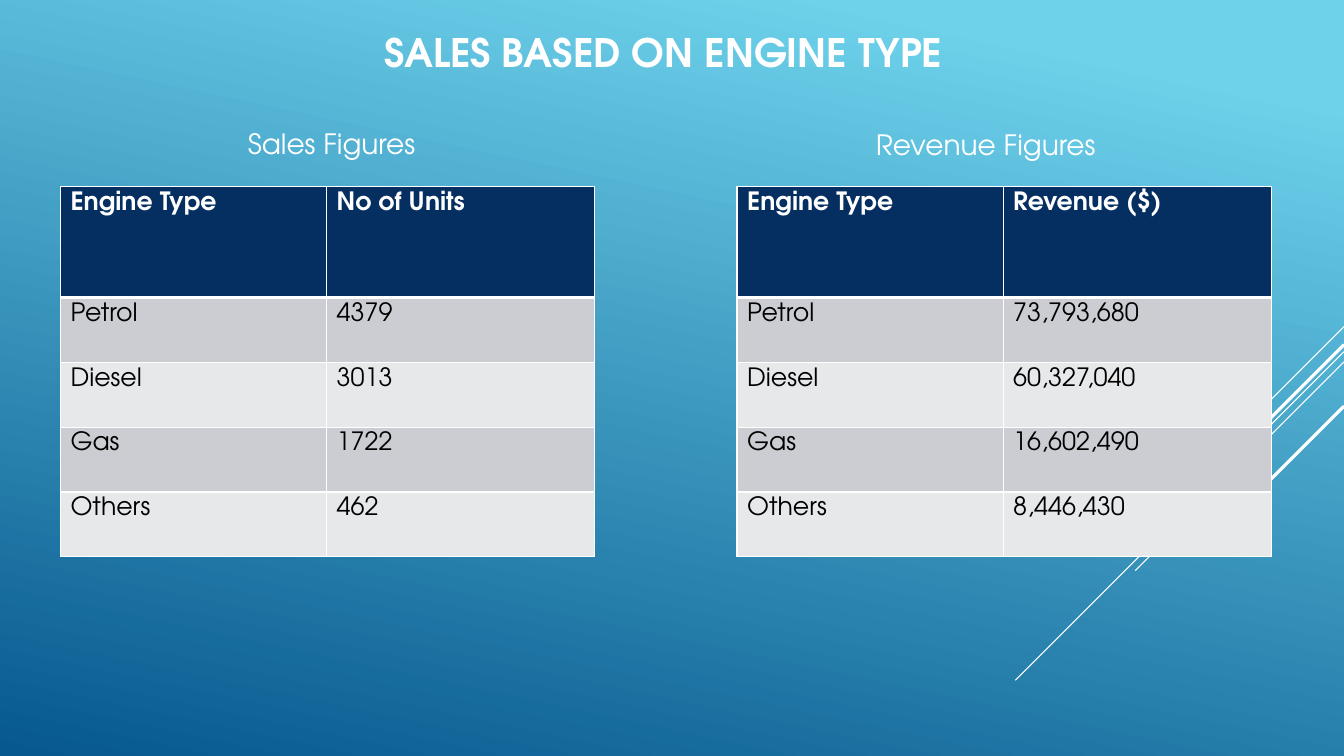
"""Build a slide with two tables of sales and revenue by engine type."""
from dataclasses import dataclass

from lxml import etree
from pptx import Presentation
from pptx.dml.color import RGBColor
from pptx.enum.shapes import MSO_CONNECTOR
from pptx.enum.text import MSO_ANCHOR, PP_ALIGN
from pptx.oxml.ns import qn
from pptx.util import Inches, Pt

LEFT, CENTER = PP_ALIGN.LEFT, PP_ALIGN.CENTER
MIDDLE = MSO_ANCHOR.MIDDLE
STRAIGHT = MSO_CONNECTOR.STRAIGHT
WIDTH, HEIGHT = Inches(13.33), Inches(7.5)


@dataclass(frozen=True)
class Theme:
    font: str = "TeX Gyre Adventor"
    white: str = "FFFFFF"
    black: str = "000000"
    sky: str = "6ED2EB"
    deep: str = "06588E"
    header: str = "052F61"
    bands: tuple[str, str] = ("CCCDD2", "E7E8EA")
    title_size: float = 28
    caption_size: float = 20
    cell_size: float = 18
    border: float = 1
    header_rule: float = 3


@dataclass(frozen=True)
class Label:
    text: str
    left: float
    top: float
    width: float
    size: float
    align: PP_ALIGN = CENTER
    bold: bool = False
    spacing: float = 1.0


@dataclass(frozen=True)
class Figures:
    left: float
    heading: str
    values: tuple[str, ...]


@dataclass(frozen=True)
class Ray:
    top: float
    run: float
    weight: float


THEME = Theme()
LABEL_HEIGHT = 6.8
TABLE_TOP, TABLE_WIDTH = 24.67, 39.75
COLUMNS = (19.8, 19.95)
HEADER_ROW, BODY_ROW = 14.7, 8.57
ENGINES = ("Petrol", "Diesel", "Gas", "Others")

RAYS = (
    Ray(43.2, 7.5, 0.75),
    Ray(46.53, 24.45, 0.75),
    Ray(47.87, 15.53, 0.75),
    Ray(45.6, 14.33, 2.25),
    Ray(53.73, 10.43, 2.25),
)
LABELS = (
    Label("SALES BASED ON ENGINE TYPE", 22.13, 3.5, 54.46, THEME.title_size, bold=True),
    Label("Sales Figures", 13.05, 15.87, 23.25, THEME.caption_size, spacing=0.9),
    Label("Revenue Figures", 64.44, 16, 26.25, THEME.caption_size, LEFT, spacing=0.9),
)
TABLES = (
    Figures(4.5, "No of Units", ("4379", "3013", "1722", "462")),
    Figures(54.84, "Revenue ($)", ("73,793,680", "60,327,040", "16,602,490", "8,446,430")),
)


def across(percent: float) -> int:
    return round(WIDTH * percent / 100)


def down(percent: float) -> int:
    return round(HEIGHT * percent / 100)


def rgb(color: str) -> RGBColor:
    return RGBColor.from_string(color)


def style(p, size: float, color: str, bold: bool) -> None:
    p.font.name, p.font.size, p.font.bold = THEME.font, Pt(size), bold
    p.font.color.rgb = rgb(color)


def paint_background(s) -> None:
    fill = s.background.fill
    fill.gradient()
    fill.gradient_angle = 360 - 102
    for stop, position, color in zip(fill.gradient_stops, (0.1, 1), (THEME.sky, THEME.deep)):
        stop.position = position
        stop.color.rgb = rgb(color)


def draw_ray(s, ray: Ray) -> None:
    run = across(ray.run)
    top = down(ray.top)
    sp = s.shapes.add_connector(STRAIGHT, WIDTH, top, WIDTH - run, top + run)
    sp.line.color.rgb = rgb(THEME.white)
    sp.line.width = Pt(ray.weight)
    etree.SubElement(sp._element.spPr, qn("a:effectLst"))


def draw_label(s, label: Label) -> None:
    sp = s.shapes.add_textbox(
        across(label.left), down(label.top), across(label.width), down(LABEL_HEIGHT))
    tf = sp.text_frame
    tf.word_wrap = True
    tf.vertical_anchor = MIDDLE
    p = tf.paragraphs[0]
    p.text, p.alignment, p.line_spacing = label.text, label.align, label.spacing
    style(p, label.size, THEME.white, label.bold)


def add_border(cell, side: str, weight: float) -> None:
    tc_pr = cell._tc.get_or_add_tcPr()
    ln = etree.SubElement(tc_pr, qn(f"a:ln{side}"), w=str(Pt(weight)))
    solid = etree.SubElement(ln, qn("a:solidFill"))
    etree.SubElement(solid, qn("a:srgbClr"), val=THEME.white)


def draw_table(s, figures: Figures) -> None:
    rows = (("Engine Type", figures.heading), *zip(ENGINES, figures.values))
    heights = [HEADER_ROW] + [BODY_ROW] * len(ENGINES)
    table = s.shapes.add_table(
        len(rows), len(COLUMNS), across(figures.left), down(TABLE_TOP),
        across(TABLE_WIDTH), down(sum(heights))).table
    for column, width in zip(table.columns, COLUMNS):
        column.width = across(width)
    for i, (texts, height) in enumerate(zip(rows, heights)):
        table.rows[i].height = down(height)
        is_header = i == 0
        for j, text in enumerate(texts):
            cell = table.cell(i, j)
            weights = {"L": THEME.border, "R": THEME.border,
                       "T": THEME.header_rule if i == 1 else THEME.border,
                       "B": THEME.header_rule if is_header else THEME.border}
            for side, weight in weights.items():
                add_border(cell, side, weight)
            cell.fill.solid()
            cell.fill.fore_color.rgb = rgb(THEME.header if is_header else THEME.bands[(i - 1) % 2])
            p = cell.text_frame.paragraphs[0]
            p.text = text
            style(p, THEME.cell_size, THEME.white if is_header else THEME.black, is_header)


def main() -> None:
    prs = Presentation()
    prs.slide_width, prs.slide_height = WIDTH, HEIGHT
    s = prs.slides.add_slide(prs.slide_layouts[6])
    paint_background(s)
    for ray in RAYS:
        draw_ray(s, ray)
    for label in LABELS:
        draw_label(s, label)
    for figures in TABLES:
        draw_table(s, figures)
    prs.save("out.pptx")


if __name__ == "__main__":
    main()
